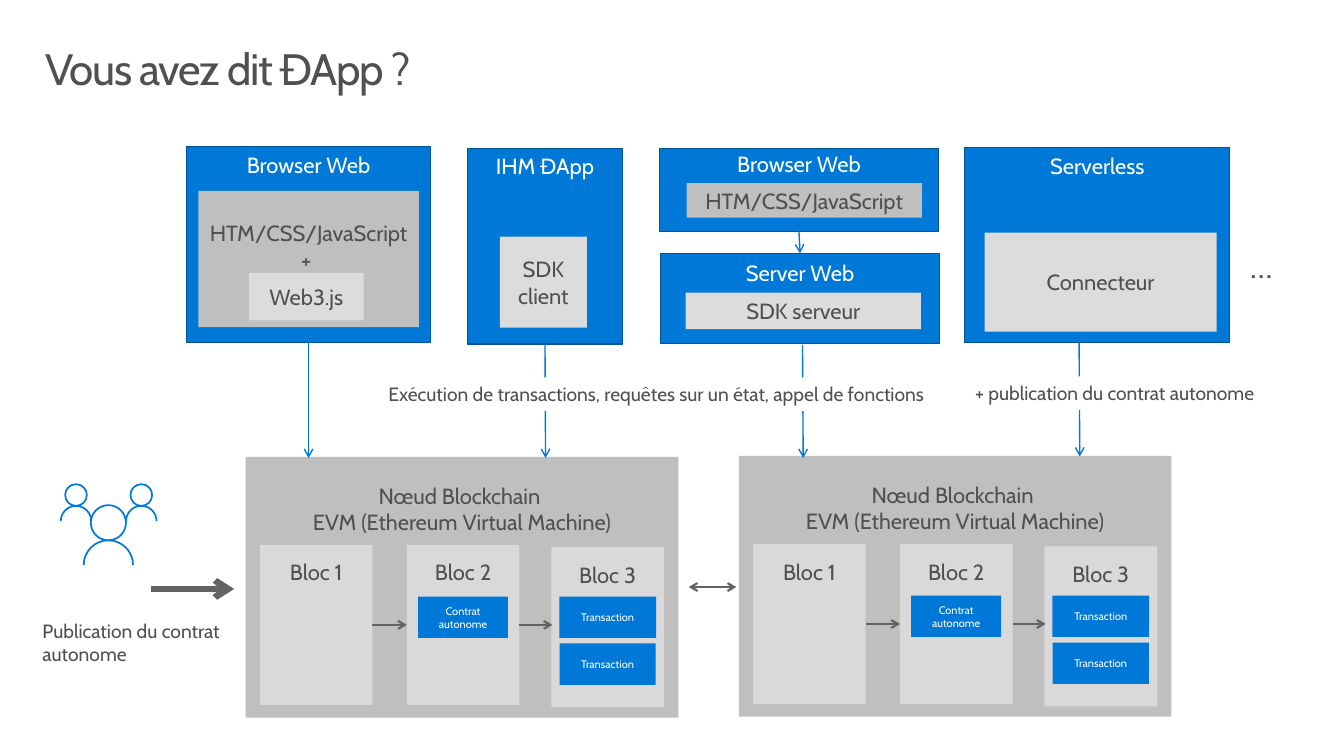
"""Build the slide on DApp architectures and the blockchain nodes they call."""
from math import cos, pi, sin

from lxml import etree
from pptx import Presentation
from pptx.dml.color import RGBColor
from pptx.enum.shapes import MSO_CONNECTOR, MSO_SHAPE
from pptx.enum.text import MSO_ANCHOR, PP_ALIGN
from pptx.oxml.ns import qn
from pptx.util import Pt

RECT = MSO_SHAPE.RECTANGLE
STRAIGHT = MSO_CONNECTOR.STRAIGHT
TOP, MIDDLE = MSO_ANCHOR.TOP, MSO_ANCHOR.MIDDLE
LEFT, CENTER = PP_ALIGN.LEFT, PP_ALIGN.CENTER
TOP_SIDE, LEFT_SIDE, BOTTOM_SIDE, RIGHT_SIDE = range(4)
COLORS = {"blue": "0078D7", "edge": "005492", "white": "FFFFFF", "text": "505050",
          "grey": "BFBFBF", "bloc": "D9D9D9", "light": "DCDCDC", "arrow": "626262"}
RGB = {name: RGBColor.from_string(value) for name, value in COLORS.items()}


def add_box(shapes, text, x, y, w, h, fill=None, color="text", size=16, edge=None,
            align=CENTER, spacing=None, **frame):
    """Add a filled rectangle, or a text box when there is no fill."""
    at = Pt(x), Pt(y), Pt(w), Pt(h)
    if fill:
        sp = shapes.add_shape(RECT, *at)
        sp.shadow.inherit = False
        sp.fill.solid()
        sp.fill.fore_color.rgb = RGB[fill]
        if edge:
            sp.line.color.rgb = RGB[edge]
            sp.line.width = Pt(0.85)
        else:
            sp.line.fill.background()
    else:
        sp = shapes.add_textbox(*at)
    tf = sp.text_frame
    tf.text = text
    for key, value in {"word_wrap": True, "vertical_anchor": MIDDLE, **frame}.items():
        setattr(tf, key, value)
    for p in tf.paragraphs:
        p.alignment, p.line_spacing = align, spacing
        for r in p.runs:
            for key, value in {"name": "Cabin", "size": Pt(size)}.items():
                setattr(r.font, key, value)
            r.font.color.rgb = RGB[color]
    return sp


def add_arrow(shapes, x1, y1, x2, y2, color="blue", width=1, ends=("tailEnd",),
              start=None, stop=None):
    """Add an arrow; start and stop are (shape, side) pairs to join."""
    cx = shapes.add_connector(STRAIGHT, Pt(x1), Pt(y1), Pt(x2), Pt(y2))
    cx.line.color.rgb = RGB[color]
    cx.line.width = Pt(width)
    for end in ends:
        etree.SubElement(cx.line._get_or_add_ln(), qn(f"a:{end}"), type="arrow")
    etree.SubElement(cx._element.spPr, qn("a:effectLst"))
    if start:
        cx.begin_connect(*start)
    if stop:
        cx.end_connect(*stop)


prs = Presentation()
prs.slide_width, prs.slide_height = Pt(979.2), Pt(550.8)
s = prs.slides.add_slide(prs.slide_layouts[6])

title = add_box(s.shapes, "Vous avez dit ÐApp ?", 21.6, 27.5, 936, 73.5, size=32, align=LEFT,
                spacing=0.9, vertical_anchor=TOP, margin_left=Pt(11.5), margin_top=Pt(7.2))
title.text_frame.paragraphs[0].runs[0].font._element.set("spc", "-100")

apps = {}
for key, text, x, y, w, h, inset in [
    ("browser", "Browser Web", 135.8, 107, 178, 142.5, 3.6),
    ("ihm", "IHM ÐApp", 340.6, 108.2, 113, 142.5, 2.8),
    ("front", "Browser Web", 480.6, 108, 203, 60.5, 2),
    ("server", "Server Web", 481.4, 184.6, 203, 66, 4.6),
    ("serverless", "Serverless", 703, 107.3, 193, 142, 3.6),
]:
    apps[key] = add_box(s.shapes, text, x, y, w, h, "blue", "white", edge="edge",
                        vertical_anchor=TOP, margin_top=Pt(inset))

add_box(s.shapes, "HTM/CSS/JavaScript + ", 144.6, 139, 160.6, 99.4, "grey",
        vertical_anchor=TOP, margin_top=Pt(21.2))
for text, x, y, w, h, fill in [
    ("Web3.js", 181.4, 198.8, 83.5, 34.6, "light"),
    ("SDK client", 364.2, 172.5, 63.4, 66.3, "light"),
    ("HTM/CSS/JavaScript", 500.2, 133.4, 171.4, 25.2, "grey"),
    ("SDK serveur", 499.5, 213.3, 171.4, 26.6, "light"),
    ("Connecteur", 717.3, 169.6, 169.2, 72, "light"),
]:
    add_box(s.shapes, text, x, y, w, h, fill)

for dx, dy in [(0, 0), (359.3, -0.7)]:
    node = s.shapes.add_group_shape().shapes
    add_box(node, "Nœud Blockchain \nEVM (Ethereum Virtual Machine)", 179 + dx, 332.9 + dy,
            315.2, 190, "grey", vertical_anchor=TOP, margin_top=Pt(18.6))
    blocs = [add_box(node, f"Bloc {i}", x + dx, y + dy, 82, 116.6, "bloc",
                     vertical_anchor=TOP, margin_top=Pt(10.3))
             for i, (x, y) in enumerate([(189.4, 397), (296.4, 397), (401.7, 398.7)], 1)]
    add_arrow(node, 271.4 + dx, 455.3 + dy, 296.4 + dx, 455.3 + dy, "arrow", 1.5,
              start=(blocs[0], RIGHT_SIDE), stop=(blocs[1], LEFT_SIDE))
    add_arrow(node, 378.4 + dx, 455.3 + dy, 402.5 + dx, 455.3 + dy, "arrow", 1.5,
              start=(blocs[1], RIGHT_SIDE))
    for text, x, y, w in [("Contrat autonome", 304.6, 434.6, 65.5),
                          ("Transaction", 407.5, 434.6, 70.5),
                          ("Transaction", 407.7, 468.8, 70)]:
        add_box(node, text, x + dx, y + dy, w, 30.2, "blue", "white", 8)

add_arrow(s.shapes, 582.1, 168.5, 582.9, 184.6, start=(apps["front"], BOTTOM_SIDE),
          stop=(apps["server"], TOP_SIDE))
for key, x in [("browser", 224.8), ("ihm", 397.5)]:
    add_arrow(s.shapes, x, 250, x, 333.7, start=(apps[key], BOTTOM_SIDE))
for x, y, bottom in [(584.7, 251.3, 333.7), (786.2, 249.7, 332.6)]:
    add_arrow(s.shapes, x, y, x + 0.5, bottom)
add_arrow(s.shapes, 501.8, 427.7, 536.4, 427.7, "arrow", 1.5, ("headEnd", "tailEnd"))
add_arrow(s.shapes, 110.2, 429.1, 170.6, 429.1, "arrow", 4.5)

for text, x, y, w, h, fill in [
    ("Exécution de transactions, requêtes sur un état, appel de fonctions",
     275.9, 275, 448.6, 24.5, "white"),
    ("+ publication du contrat autonome", 703.4, 274.2, 239.8, 24.5, "white"),
    ("Publication du contrat autonome", 23.8, 447.8, 149.8, 41, None),
]:
    add_box(s.shapes, text, x, y, w, h, fill, size=14, align=LEFT, vertical_anchor=TOP)
add_box(s.shapes, "…", 896.4, 170.6, 46.8, 49.7, size=24, align=LEFT, spacing=0.9,
        word_wrap=False, vertical_anchor=TOP, margin_left=Pt(14.4), margin_top=Pt(11.5))

KAPPA = 0.5523
people = s.shapes.build_freeform(Pt(91.8), Pt(380.9), scale=1.0)
for cx, cy, head, body in [(79, 380.9, 12.8, 18), (55.4, 360.7, 7.9, 11.1),
                           (103, 360.7, 7.9, 11.1)]:
    for mid, radius, quarters in [(cy, head, 4), (cy + head + body, body, 2)]:
        people.move_to(Pt(cx + radius), Pt(mid))
        for q in range(quarters):
            c, d = cos(q * pi / 2), sin(q * pi / 2)
            people.add_line_segments(
                [(Pt(cx + radius * (c * a - d * b)), Pt(mid - radius * (d * a + c * b)))
                 for a, b in [(1, KAPPA), (KAPPA, 1), (0, 1)]], close=quarters == 4 and q == 3)
icon = people.convert_to_shape()
lines = list(icon._element.iter(qn("a:lnTo")))
for i in range(0, len(lines), 3):
    curve = etree.Element(qn("a:cubicBezTo"))
    lines[i].addprevious(curve)
    for line in lines[i:i + 3]:
        curve.append(line[0])
        line.getparent().remove(line)
icon.shadow.inherit = False
icon.fill.background()
icon.line.color.rgb = RGB["blue"]
icon.line.width = Pt(1.25)

prs.save("out.pptx")
